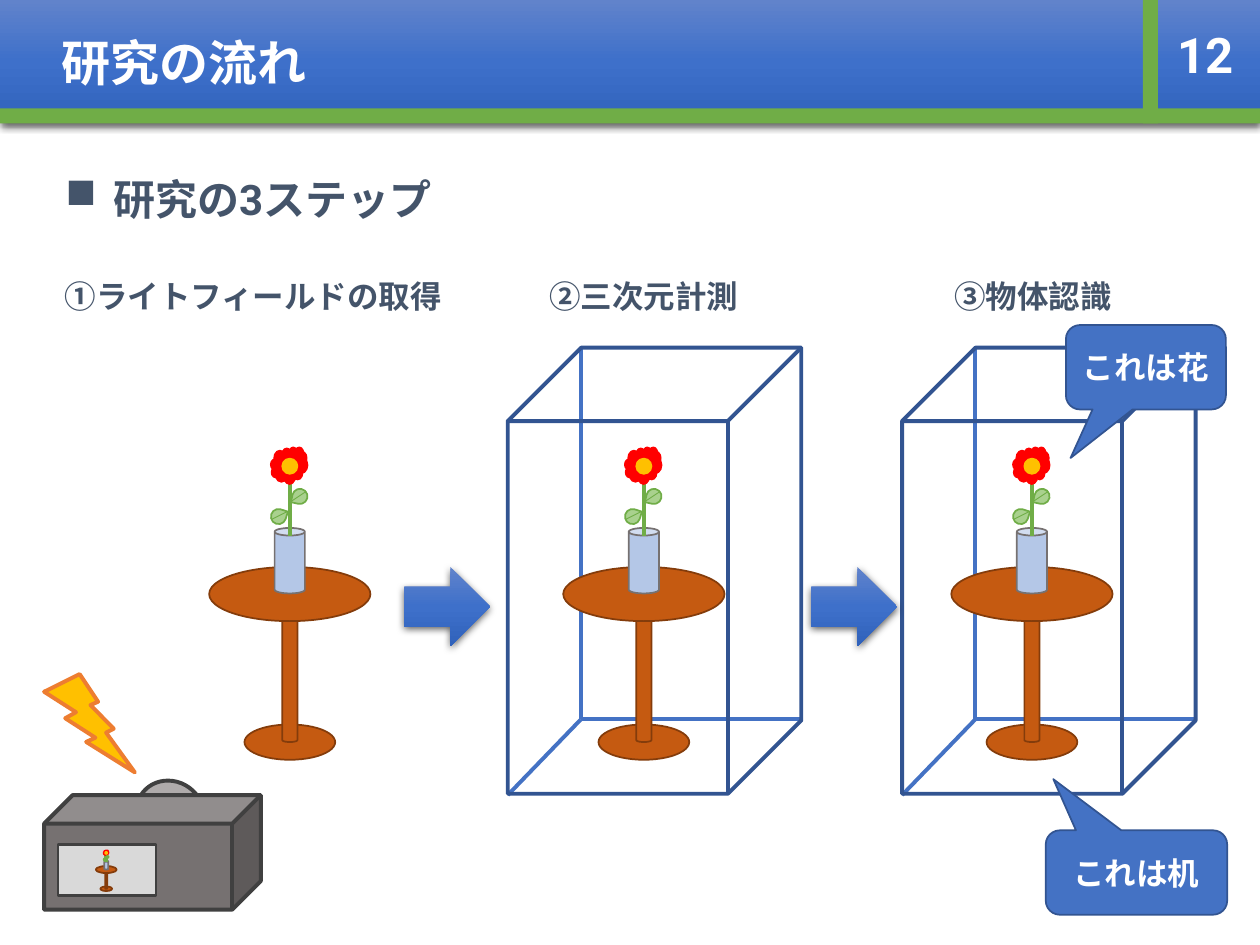
from typing import NamedTuple, Optional
from copy import deepcopy

from pptx import Presentation
from pptx.dml.color import RGBColor
from pptx.enum.shapes import MSO_CONNECTOR, MSO_SHAPE
from pptx.enum.text import MSO_ANCHOR, PP_ALIGN
from pptx.oxml.ns import qn
from pptx.oxml.xmlchemy import OxmlElement
from pptx.util import Inches, Pt

FONT = "Roboto"
COLORS = {
    "white": "FFFFFF", "slate": "44546A", "blue": "4472C4", "navy": "325491",
    "green": "70AD47", "leaf": "A9D18E", "wood": "C55A11", "bark": "843C0B",
    "glass": "B4C7E7", "gray": "767171", "petal": "FF0000", "gold": "FFC000",
    "orange": "ED7D31", "dark": "404040", "lens": "AFABAB", "screen": "D9D9D9",
    "grad_top": "6183CB", "grad_mid": "3E70CA", "grad_end": "3062BB",
}
GRADIENT = [(0, "grad_top"), (0.5, "grad_mid"), (1, "grad_end")]


class Part(NamedTuple):
    kind: MSO_SHAPE
    left: float
    top: float
    width: float
    height: float
    fill: Optional[str] = None
    line: Optional[str] = None
    weight: float = 1
    rotation: float = 0


class Stroke(NamedTuple):
    x1: float
    y1: float
    x2: float
    y2: float
    color: str
    weight: float


class Callout(NamedTuple):
    text: str
    body: Part
    tail: tuple


# Table with a flower, measured from its top left corner
FLOWER_TABLE = [
    Part(MSO_SHAPE.OVAL, 0.28, 2.2, 0.72, 0.28, "wood", "bark"),
    Part(MSO_SHAPE.CAN, 0.58, 1.16, 0.12, 1.18, "wood", "bark"),
    Part(MSO_SHAPE.OVAL, 0, 0.95, 1.28, 0.43, "wood", "bark"),
    Part(MSO_SHAPE.CAN, 0.52, 0.64, 0.24, 0.52, "glass", "gray"),
    Stroke(0.64, 0.17, 0.64, 0.7, "green", 2.25),
    Part(MSO_SHAPE.CLOUD, 0.49, 0, 0.29, 0.29, "petal", "petal"),
    Part(MSO_SHAPE.TEAR, 0.49, 0.49, 0.12, 0.12, "leaf", "green", 1, 17.4),
    Part(MSO_SHAPE.TEAR, 0.66, 0.33, 0.12, 0.12, "leaf", "green", 1, 192),
    Stroke(0.62, 0.51, 0.5, 0.57, "green", 0.5),
    Stroke(0.77, 0.35, 0.65, 0.43, "green", 0.5),
    Part(MSO_SHAPE.OVAL, 0.58, 0.09, 0.12, 0.12, "gold", "gold"),
]
CAMERA = [
    Part(MSO_SHAPE.LIGHTNING_BOLT, 0.35, 5.35, 0.72, 0.78, "gold", "orange", 2.25),
    Part(MSO_SHAPE.OVAL, 1.1, 6.18, 0.5, 0.54, "lens", "dark", 2.25, 299.2),
    Part(MSO_SHAPE.CUBE, 0.35, 6.31, 1.72, 0.91, "gray", "dark", 2.25),
    Part(MSO_SHAPE.RECTANGLE, 0.46, 6.7, 0.78, 0.41, "screen", "dark", 1.5),
]
CALLOUTS = [
    Callout("これは花", Part(MSO_SHAPE.ROUNDED_RECTANGULAR_CALLOUT, 8.46, 2.58, 1.27, 0.67,
                         "blue", "navy"), (-0.471, 1.076, 0.167)),
    Callout("これは机", Part(MSO_SHAPE.ROUNDED_RECTANGULAR_CALLOUT, 8.3, 6.59, 1.44, 0.67,
                         "blue", "navy"), (-0.458, -1.106, 0.167)),
]
STEPS = [(0.35, "①ライトフィールドの取得"), (3.45, "②三次元計測"), (6.54, "③物体認識")]


def rgb(name: str) -> RGBColor:
    return RGBColor.from_string(COLORS[name])


def draw_part(slide, part: Part, x: float = 0, y: float = 0, scale: float = 1):
    shape = slide.shapes.add_shape(
        part.kind, Inches(x + part.left * scale), Inches(y + part.top * scale),
        Inches(part.width * scale), Inches(part.height * scale))
    shape.shadow.inherit = False
    shape.rotation = part.rotation
    if part.fill:
        shape.fill.solid()
        shape.fill.fore_color.rgb = rgb(part.fill)
    else:
        shape.fill.background()
    if part.line:
        shape.line.color.rgb = rgb(part.line)
        shape.line.width = Pt(part.weight)
    else:
        shape.line.fill.background()
    return shape


def draw_stroke(slide, stroke: Stroke, x: float = 0, y: float = 0, scale: float = 1):
    line = slide.shapes.add_connector(
        MSO_CONNECTOR.STRAIGHT,
        Inches(x + stroke.x1 * scale), Inches(y + stroke.y1 * scale),
        Inches(x + stroke.x2 * scale), Inches(y + stroke.y2 * scale))
    line.line.color.rgb = rgb(stroke.color)
    line.line.width = Pt(stroke.weight)
    line._element.spPr.append(OxmlElement("a:effectLst"))


def draw_glossy(slide, part: Part):
    """Draw a shape with the blue gradient and a soft shadow below it."""
    shape = draw_part(slide, part)
    shape.fill.gradient()
    shape.fill.gradient_angle = 270
    properties = shape._element.spPr
    stop_list = properties.find(".//" + qn("a:gsLst"))
    stop_list.append(deepcopy(stop_list[-1]))
    for stop, (position, color) in zip(shape.fill.gradient_stops, GRADIENT):
        stop.position = position
        stop.color.rgb = rgb(color)
    shadow = OxmlElement("a:outerShdw")
    for key, value in (("blurRad", Pt(4.5)), ("dist", Pt(1.5)), ("dir", 90 * 60000)):
        shadow.set(key, str(int(value)))
    shade = OxmlElement("a:srgbClr")
    shade.set("val", "000000")
    alpha = OxmlElement("a:alpha")
    alpha.set("val", "63000")
    shade.append(alpha)
    shadow.append(shade)
    properties.find(qn("a:effectLst")).append(shadow)
    return shape


def write(shape, text: str, *, size: float, color: str = "white", align=PP_ALIGN.CENTER,
          anchor=MSO_ANCHOR.MIDDLE, margin: float = 0.1, spacing: Optional[float] = None,
          before: float = 0, bullet: Optional[str] = None):
    frame = shape.text_frame
    frame.word_wrap = True
    frame.vertical_anchor = anchor
    frame.margin_left = Inches(margin)
    paragraph = frame.paragraphs[0]
    paragraph.alignment = align
    paragraph.line_spacing = spacing
    paragraph.space_before = Pt(before)
    if bullet:
        properties = paragraph._p.get_or_add_pPr()
        properties.set("marL", str(Inches(0.38)))
        properties.set("indent", str(-Inches(0.38)))
        mark = OxmlElement("a:buChar")
        mark.set("char", bullet)
        properties.append(mark)
    run = paragraph.add_run()
    run.text = text
    run.font.name = FONT
    run.font.size = Pt(size)
    run.font.bold = True
    run.font.color.rgb = rgb(color)


def add_box(slide, left: float, top: float, width: float, height: float):
    return slide.shapes.add_textbox(Inches(left), Inches(top), Inches(width), Inches(height))


def draw_flower_table(slide, x: float, y: float, scale: float = 1):
    for item in FLOWER_TABLE:
        draw = draw_part if isinstance(item, Part) else draw_stroke
        draw(slide, item, x, y, scale)


def draw_frame(slide, left: float):
    """Draw a wire box with its three hidden edges."""
    corner_x, corner_y = left + 0.58, 5.71
    for x, y in ((left + 2.32, corner_y), (corner_x, 2.77), (left, 6.31)):
        draw_stroke(slide, Stroke(corner_x, corner_y, x, y, "blue", 2.25))
    draw_part(slide, Part(MSO_SHAPE.CUBE, left, 2.76, 2.33, 3.54, None, "navy", 2.25))


def main():
    deck = Presentation()
    deck.slide_width, deck.slide_height = Inches(10), Inches(7.5)
    slide = deck.slides.add_slide(deck.slide_layouts[6])

    # Header
    header = draw_glossy(slide, Part(MSO_SHAPE.RECTANGLE, 0, 0, 10, 0.98))
    write(header, "研究の流れ", size=28, align=PP_ALIGN.LEFT, margin=0.49)
    draw_part(slide, Part(MSO_SHAPE.RECTANGLE, 0, 0.86, 10, 0.12, "green"))
    draw_part(slide, Part(MSO_SHAPE.RECTANGLE, 9.07, 0, 0.12, 0.98, "green"))
    write(add_box(slide, 9.13, 0, 0.87, 0.86), "12", size=28)

    # Headings
    write(add_box(slide, 0.42, 1.37, 9.15, 0.6), "研究の3ステップ", size=24, color="slate",
          align=PP_ALIGN.LEFT, anchor=MSO_ANCHOR.TOP, spacing=0.9, before=7.5, bullet="■")
    for left, step in STEPS:
        write(add_box(slide, left, 2.18, 3.32, 0.55), step, size=18, color="slate",
              anchor=MSO_ANCHOR.TOP, spacing=0.9, before=7.5)

    # Scenes and the arrows between them
    for left in (4.03, 7.16):
        draw_frame(slide, left)
    for left in (1.66, 4.47, 7.55):
        draw_flower_table(slide, left, 3.55)
    for left in (3.21, 6.44):
        draw_glossy(slide, Part(MSO_SHAPE.RIGHT_ARROW, left, 4.5, 0.68, 0.63))

    # Recognition callouts
    for callout in CALLOUTS:
        bubble = draw_part(slide, callout.body)
        for index, value in enumerate(callout.tail):
            bubble.adjustments[index] = value
        write(bubble, callout.text, size=18)

    # Camera with the scene on its screen
    for part in CAMERA:
        draw_part(slide, part)
    draw_flower_table(slide, 0.76, 6.75, 0.13)

    deck.save("out.pptx")


if __name__ == "__main__":
    main()
